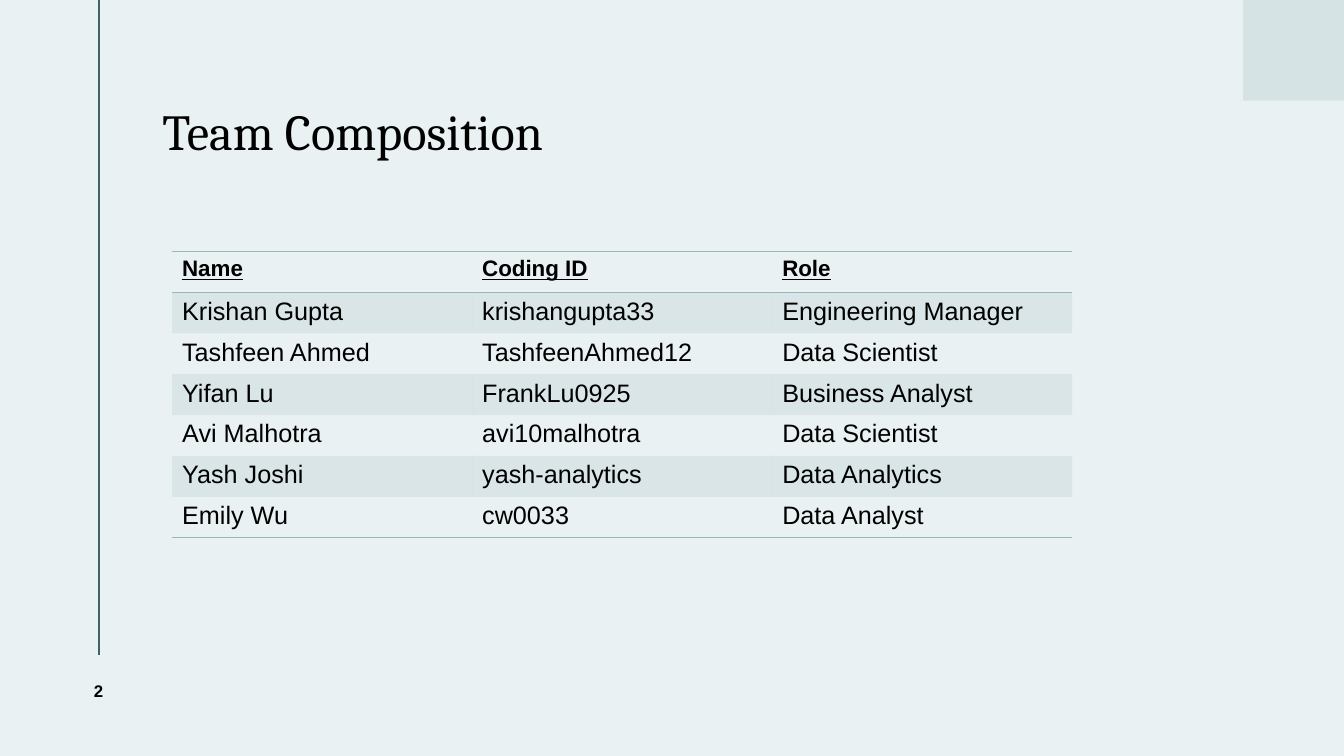
from lxml import etree
from pptx import Presentation
from pptx.dml.color import RGBColor
from pptx.enum.shapes import MSO_CONNECTOR, MSO_SHAPE
from pptx.enum.text import MSO_ANCHOR, PP_ALIGN
from pptx.oxml.ns import qn
from pptx.util import Pt

STRAIGHT = MSO_CONNECTOR.STRAIGHT
RECTANGLE = MSO_SHAPE.RECTANGLE
MIDDLE = MSO_ANCHOR.MIDDLE
CENTER = PP_ALIGN.CENTER

COLORS = {
    "background": "EAF1F2",
    "rule": "40636A",
    "corner": "D5E3E5",
    "table": "95B8BF",
    "text": "000000",
}
TITLE_FONT = "Cambria"
BODY_FONT = "Arial"
PLAIN_TABLE_STYLE = "{2D5ABB26-0587-4C30-8999-92F81FD0307C}"
BAND_OPACITY = 20

TEAM = [
    ("Name", "Coding ID", "Role"),
    ("Krishan Gupta", "krishangupta33", "Engineering Manager"),
    ("Tashfeen Ahmed", "TashfeenAhmed12", "Data Scientist"),
    ("Yifan Lu", "FrankLu0925", "Business Analyst"),
    ("Avi Malhotra", "avi10malhotra", "Data Scientist"),
    ("Yash Joshi", "yash-analytics", "Data Analytics"),
    ("Emily Wu", "cw0033", "Data Analyst"),
]


def color(name):
    return RGBColor.from_string(COLORS[name])


class SlideBuilder:
    def __init__(self, slide):
        self.slide = slide
        fill = slide.background.fill
        fill.solid()
        fill.fore_color.rgb = color("background")

    def style_text(self, paragraph, font_name, size, bold=False, underline=False):
        for run in paragraph.runs:
            font = run.font
            font.name = font_name
            font.size = Pt(size)
            font.bold = bold
            font.underline = underline
            font.color.rgb = color("text")

    def line(self, start_x, start_y, end_x, end_y, width):
        connector = self.slide.shapes.add_connector(
            STRAIGHT, Pt(start_x), Pt(start_y), Pt(end_x), Pt(end_y))
        connector.line.color.rgb = color("rule")
        connector.line.width = Pt(width)
        etree.SubElement(connector.element.spPr, qn("a:effectLst"))

    def rectangle(self, left, top, width, height, fill_name):
        shape = self.slide.shapes.add_shape(
            RECTANGLE, Pt(left), Pt(top), Pt(width), Pt(height))
        shape.shadow.inherit = False
        shape.fill.solid()
        shape.fill.fore_color.rgb = color(fill_name)
        shape.line.fill.background()

    def title(self, text, left, top, width, height):
        shape = self.slide.shapes.title
        shape.left, shape.top = Pt(left), Pt(top)
        shape.width, shape.height = Pt(width), Pt(height)
        text_frame = shape.text_frame
        text_frame.text = text
        text_frame.word_wrap = True
        text_frame.vertical_anchor = MIDDLE
        text_frame.margin_left = 0
        paragraph = text_frame.paragraphs[0]
        paragraph.alignment = PP_ALIGN.LEFT
        paragraph.line_spacing = 0.9
        self.style_text(paragraph, TITLE_FONT, 36)

    def page_number(self, text, left, top, width, height):
        shape = self.slide.shapes.add_textbox(Pt(left), Pt(top), Pt(width), Pt(height))
        text_frame = shape.text_frame
        text_frame.text = text
        text_frame.word_wrap = True
        text_frame.vertical_anchor = MIDDLE
        paragraph = text_frame.paragraphs[0]
        paragraph.alignment = CENTER
        self.style_text(paragraph, BODY_FONT, 12, bold=True)
        paragraph.runs[0].font._element.set("spc", "150")

    def cell_border(self, cell, tag):
        properties = cell._tc.get_or_add_tcPr()
        border = etree.SubElement(properties, qn(tag), w=str(Pt(1)))
        fill = etree.SubElement(border, qn("a:solidFill"))
        etree.SubElement(fill, qn("a:srgbClr"), val=COLORS["table"])

    def cell_fill(self, cell, banded):
        if not banded:
            cell.fill.background()
            return
        cell.fill.solid()
        cell.fill.fore_color.rgb = color("table")
        band_color = cell._tc.tcPr.find(qn("a:solidFill")).find(qn("a:srgbClr"))
        etree.SubElement(band_color, qn("a:alpha"), val=str(BAND_OPACITY * 1000))

    def table(self, rows, left, top, width, height):
        """Draw a header row, then rows with every other one shaded."""
        frame = self.slide.shapes.add_table(
            len(rows), len(rows[0]), Pt(left), Pt(top), Pt(width), Pt(height))
        frame.element.find(".//" + qn("a:tableStyleId")).text = PLAIN_TABLE_STYLE
        last = len(rows) - 1
        for row_index, row in enumerate(rows):
            header = row_index == 0
            for column_index, text in enumerate(row):
                cell = frame.table.cell(row_index, column_index)
                cell.text_frame.text = text
                self.style_text(cell.text_frame.paragraphs[0], BODY_FONT,
                                16 if header else 18, bold=header, underline=header)
                if header:
                    self.cell_border(cell, "a:lnT")
                if row_index in (0, last):
                    self.cell_border(cell, "a:lnB")
                self.cell_fill(cell, banded=row_index % 2 == 1)


def main():
    presentation = Presentation()
    presentation.slide_width = Pt(960)
    presentation.slide_height = Pt(540)
    title_only = presentation.slide_layouts[5]
    builder = SlideBuilder(presentation.slides.add_slide(title_only))
    builder.line(70.8, 0, 70.8, 468, 1.5)
    builder.rectangle(888, 0, 72, 72, "corner")
    builder.title("Team Composition", 116, 39.5, 720.5, 112.5)
    builder.page_number("2", 32.2, 468, 76.5, 51)
    builder.table(TEAM, 122.9, 179.7, 643, 204.4)
    presentation.save("out.pptx")


if __name__ == "__main__":
    main()
